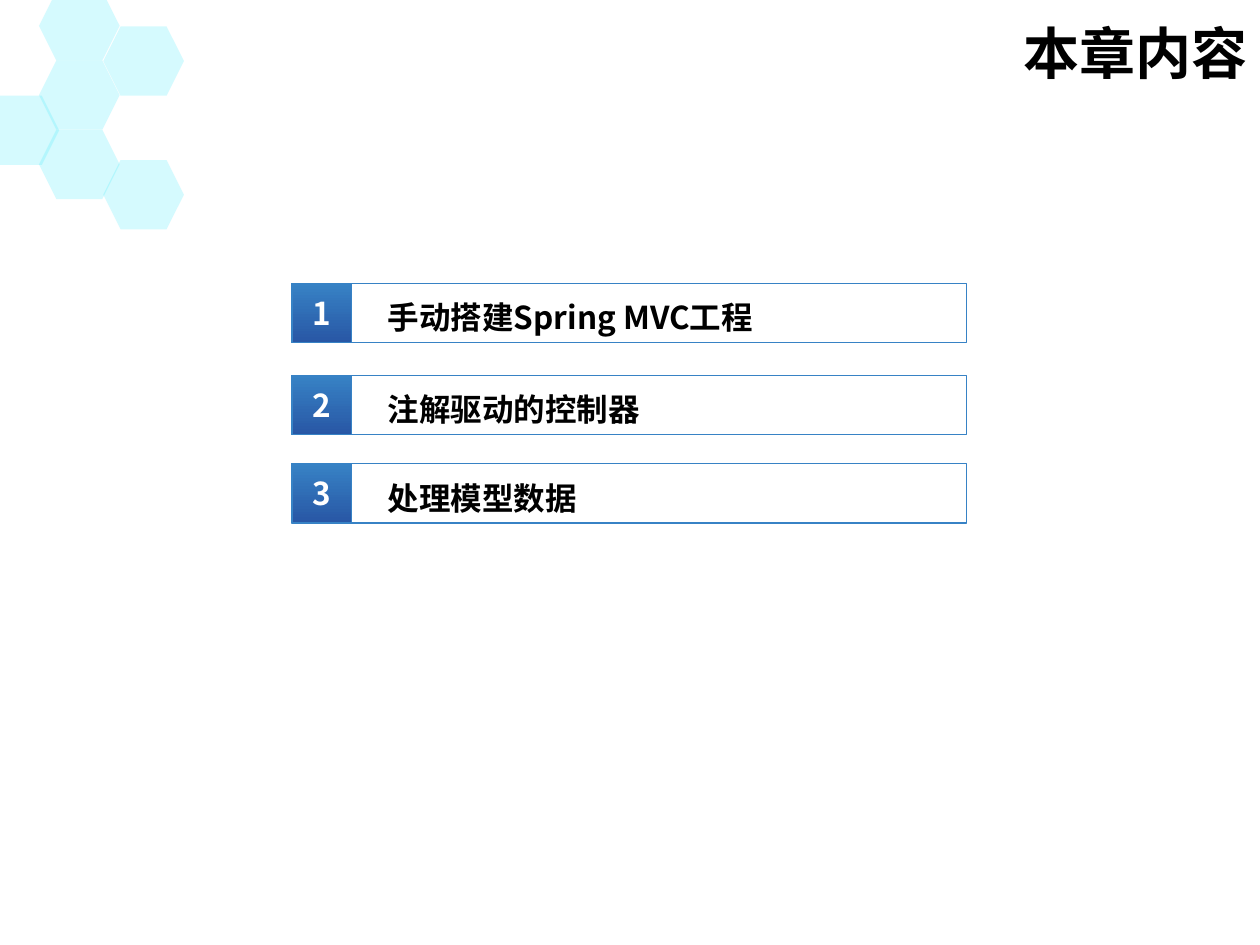
from typing import NamedTuple

from lxml import etree
from pptx import Presentation
from pptx.dml.color import RGBColor
from pptx.enum.shapes import MSO_SHAPE
from pptx.enum.text import MSO_ANCHOR, MSO_AUTO_SIZE, PP_ALIGN
from pptx.oxml.ns import qn
from pptx.util import Inches, Pt

HEXAGON, RECTANGLE = MSO_SHAPE.HEXAGON, MSO_SHAPE.RECTANGLE
MIDDLE, TOP = MSO_ANCHOR.MIDDLE, MSO_ANCHOR.TOP
LEFT, CENTER, RIGHT = PP_ALIGN.LEFT, PP_ALIGN.CENTER, PP_ALIGN.RIGHT
NO_FIT, GROW = MSO_AUTO_SIZE.NONE, MSO_AUTO_SIZE.SHAPE_TO_FIT_TEXT

FONT = "Noto Sans CJK SC"
COLORS = {
    "hexagon": "24E7FC",
    "border": "3782C5",
    "badge_bottom": "2857A5",
    "text": "000000",
    "number": "FFFFFF",
}
HEXAGON_ALPHA = 19  # percent


class Topic(NamedTuple):
    top: float
    label: str


TOPICS = [
    Topic(2.25, "手动搭建Spring MVC工程"),
    Topic(2.98, "注解驱动的控制器"),
    Topic(3.68, "处理模型数据"),
]
HEXAGON_CORNERS = [
    (-0.17, 0.76), (0.31, 0.48), (0.31, 1.03),
    (0.82, 0.21), (0.31, -0.07), (0.82, 1.27),
]
ROW_LEFT, ROW_WIDTH, ROW_HEIGHT = 2.32, 5.35, 0.47


def color(key: str) -> RGBColor:
    return RGBColor.from_string(COLORS[key])


def write(shape, text: str, size: int, color_key: str, align, anchor, fit=NO_FIT) -> None:
    frame = shape.text_frame
    frame_format = {"word_wrap": True, "auto_size": fit, "vertical_anchor": anchor}
    for name, value in frame_format.items():
        setattr(frame, name, value)
    paragraph = frame.paragraphs[0]
    paragraph.alignment = align
    run = paragraph.add_run()
    run.text = text
    for name, value in {"name": FONT, "size": Pt(size), "bold": True}.items():
        setattr(run.font, name, value)
    run.font.color.rgb = color(color_key)
    # Chinese glyphs take the East Asian typeface
    etree.SubElement(run.font._element, qn("a:ea"), typeface=FONT)


def add_hexagon(shapes, left: float, top: float) -> None:
    hexagon = shapes.add_shape(HEXAGON, Inches(left), Inches(top), Inches(0.64), Inches(0.55))
    hexagon.shadow.inherit = False
    hexagon.adjustments[0] = 0.25
    hexagon.fill.solid()
    hexagon.fill.fore_color.rgb = color("hexagon")
    hexagon.line.fill.background()
    fill_color = hexagon.fill._xPr.find(qn("a:solidFill"))[0]
    etree.SubElement(fill_color, qn("a:alpha"), val=str(HEXAGON_ALPHA * 1000))


def add_bordered_box(shapes, top: float, width: float):
    box = shapes.add_shape(
        RECTANGLE, Inches(ROW_LEFT), Inches(top), Inches(width), Inches(ROW_HEIGHT))
    box.shadow.inherit = False
    box.line.color.rgb = color("border")
    box.line.width = Pt(1)
    return box


def add_topic(slide, number: int, topic: Topic) -> None:
    shapes = slide.shapes.add_group_shape().shapes
    frame = add_bordered_box(shapes, topic.top, ROW_WIDTH)
    frame.fill.background()

    badge = add_bordered_box(shapes, topic.top, ROW_HEIGHT)
    badge.fill.gradient()
    badge.fill.gradient_angle = 270
    for stop, key in zip(badge.fill.gradient_stops, ("border", "badge_bottom")):
        stop.color.rgb = color(key)
    write(badge, str(number), 18, "number", CENTER, MIDDLE)

    label = shapes.add_textbox(
        Inches(2.98), Inches(topic.top + 0.07), Inches(4.46), Inches(0.4))
    write(label, topic.label, 18, "text", LEFT, TOP, GROW)


def main() -> None:
    presentation = Presentation()
    presentation.slide_width = Inches(10)
    presentation.slide_height = Inches(7.5)
    slide = presentation.slides.add_slide(presentation.slide_layouts[5])

    # Honeycomb in the corner
    for left, top in HEXAGON_CORNERS:
        add_hexagon(slide.shapes, left, top)

    # Title
    title = slide.shapes.title
    place = {"left": 0.5, "top": 0, "width": 9.5, "height": 0.82}
    for name, value in place.items():
        setattr(title, name, Inches(value))
    write(title, "本章内容", 32, "text", RIGHT, MIDDLE)

    # Numbered topics
    for number, topic in enumerate(TOPICS, start=1):
        add_topic(slide, number, topic)

    presentation.save("out.pptx")


if __name__ == "__main__":
    main()
